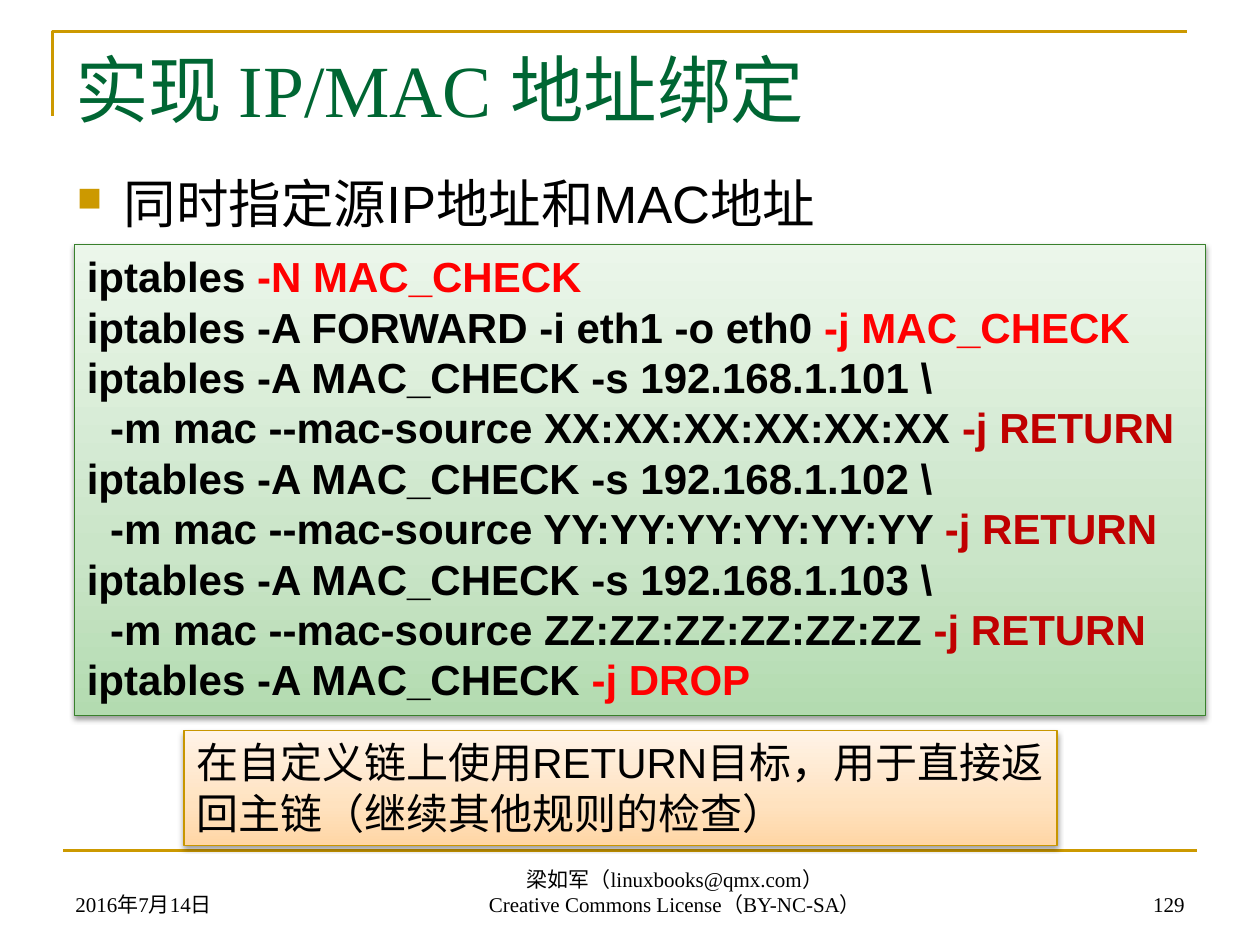
from lxml.etree import SubElement
from pptx import Presentation
from pptx.dml.color import RGBColor as RGB
from pptx.enum.shapes import MSO_CONNECTOR as LINE, MSO_SHAPE as SHAPE
from pptx.enum.text import MSO_ANCHOR as ANCHOR, PP_ALIGN as ALIGN
from pptx.oxml import parse_xml
from pptx.oxml.ns import nsdecls, qn
from pptx.util import Cm, Pt

COLORS = {
    "gold": "CC9900", "title": "006633", "black": "000000",
    "red": "FF0000", "dark_red": "C00000",
    "green_line": "38802C", "orange_line": "C89600",
}
GREENS = ("B3DBB0", "CAE5C8", "EBF6EA")
ORANGES = ("FFD6A5", "FFE2BF", "FFF3E7")
SERIF, SANS = "Times New Roman", "Arial"


class Deck:
    """Holds the style and the current slide."""

    def __init__(self, prs):
        self.slide = prs.slides.add_slide(prs.slide_layouts[6])
        self.shapes = self.slide.shapes

    def color(self, name):
        return RGB.from_string(COLORS[name])

    def stroke(self, s, name, width):
        s.line.color.rgb = self.color(name)
        s.line.width = Pt(width)

    def fill_text(self, s, lines, size, font, bold=False, align=ALIGN.LEFT, anchor=ANCHOR.TOP):
        tf = s.text_frame
        tf.word_wrap = True
        tf.vertical_anchor = anchor
        for i, line in enumerate(lines):
            p = tf.paragraphs[0] if i == 0 else tf.add_paragraph()
            p.alignment = align
            for text, name in line:
                r = p.add_run()
                r.text = text
                r.font.size, r.font.name, r.font.bold = Pt(size), font, bold
                r.font.color.rgb = self.color(name)

    def text(self, box, lines, size, font, **style):
        s = self.shapes.add_textbox(*map(Cm, box))
        self.fill_text(s, lines, size, font, **style)
        return s

    def bullet(self, box, text, size):
        s = self.text(box, [[(text, "black")]], size, SANS)
        pPr = s.text_frame.paragraphs[0]._p.get_or_add_pPr()
        pPr.set("marL", str(Cm(0.95)))
        pPr.set("indent", str(Cm(-0.95)))
        clr = SubElement(pPr, qn("a:buClr"))
        SubElement(clr, qn("a:srgbClr"), val=COLORS["gold"])
        SubElement(pPr, qn("a:buSzPct"), val="65000")
        SubElement(pPr, qn("a:buChar"), char="■")

    def panel(self, box, stops, line, lines, size, bold=False):
        s = self.shapes.add_shape(SHAPE.RECTANGLE, *map(Cm, box))
        s.fill.background()
        self.stroke(s, line, 0.75)
        s.shadow.inherit = False
        spPr = s._element.spPr
        gs = "".join(f'<a:gs pos="{pos}"><a:srgbClr val="{c}"/></a:gs>'
                     for pos, c in zip((0, 35000, 100000), stops))
        grad = parse_xml(f'<a:gradFill {nsdecls("a")} rotWithShape="1"><a:gsLst>{gs}</a:gsLst>'
                         '<a:lin ang="16200000" scaled="0"/></a:gradFill>')
        spPr.replace(spPr.find(qn("a:noFill")), grad)
        shadow = SubElement(spPr.find(qn("a:effectLst")), qn("a:outerShdw"), blurRad=str(Pt(3.1)),
                            dist=str(Pt(1.6)), dir="5400000", rotWithShape="0")
        clr = SubElement(shadow, qn("a:srgbClr"), val=COLORS["black"])
        SubElement(clr, qn("a:alpha"), val="38000")
        self.fill_text(s, lines, size, SANS, bold=bold)

    def rule(self, x1, y1, x2, y2):
        s = self.shapes.add_connector(LINE.STRAIGHT, *map(Cm, (x1, y1, x2, y2)))
        self.stroke(s, "gold", 1.5)
        SubElement(s._element.spPr, qn("a:effectLst"))

    def outline(self, start, *points):
        fb = self.shapes.build_freeform(*map(Cm, start))
        fb.add_line_segments([tuple(map(Cm, pt)) for pt in points], close=False)
        s = fb.convert_to_shape()
        s.fill.background()
        s.shadow.inherit = False
        self.stroke(s, "gold", 1.5)


def code_lines():
    lines = [
        [("iptables ", "black"), ("-N MAC_CHECK", "red")],
        [("iptables -A FORWARD -i eth1 -o eth0 ", "black"), ("-j MAC_CHECK", "red")],
    ]
    for host, letter in enumerate("XYZ", 101):
        mac = ":".join([letter * 2] * 6)
        lines.append([(f"iptables -A MAC_CHECK -s 192.168.1.{host} \\", "black")])
        lines.append([(f"  -m mac --mac-source {mac} ", "black"), ("-j RETURN", "dark_red")])
    lines.append([("iptables -A MAC_CHECK ", "black"), ("-j DROP", "red")])
    return lines


def main():
    prs = Presentation()
    prs.slide_width, prs.slide_height = Cm(25.4), Cm(19.05)
    deck = Deck(prs)
    deck.outline((1.06, 2.33), (1.06, 0.64), (23.92, 0.64))
    deck.rule(1.27, 17.15, 24.13, 17.15)
    deck.text((1.27, 0.76, 22.86, 3.18), [[("实现 IP/MAC 地址绑定", "title")]], 42, SERIF)
    deck.bullet((1.3, 3.33, 22.86, 1.47), "同时指定源IP地址和MAC地址", 30)

    credits = ("梁如军（linuxbooks@qmx.com）", "Creative Commons License（BY-NC-SA）")
    footers = (
        (1.27, 5.92, ("2016年7月14日",), ALIGN.LEFT),
        (6.1, 15.01, credits, ALIGN.CENTER),
        (18.21, 5.92, ("129",), ALIGN.RIGHT),
    )
    for left, width, texts, align in footers:
        deck.text((left, 17.34, width, 1.27), [[(t, "black")] for t in texts], 12, SERIF,
                  align=align, anchor=ANCHOR.BOTTOM)

    deck.panel((1.5, 4.93, 22.81, 9.5), GREENS, "green_line", code_lines(), 24, bold=True)
    note = "在自定义链上使用RETURN目标，用于直接返回主链（继续其他规则的检查）"
    deck.panel((3.71, 14.73, 17.6, 2.31), ORANGES, "orange_line", [[(note, "black")]], 24)
    prs.save("out.pptx")


if __name__ == "__main__":
    main()
